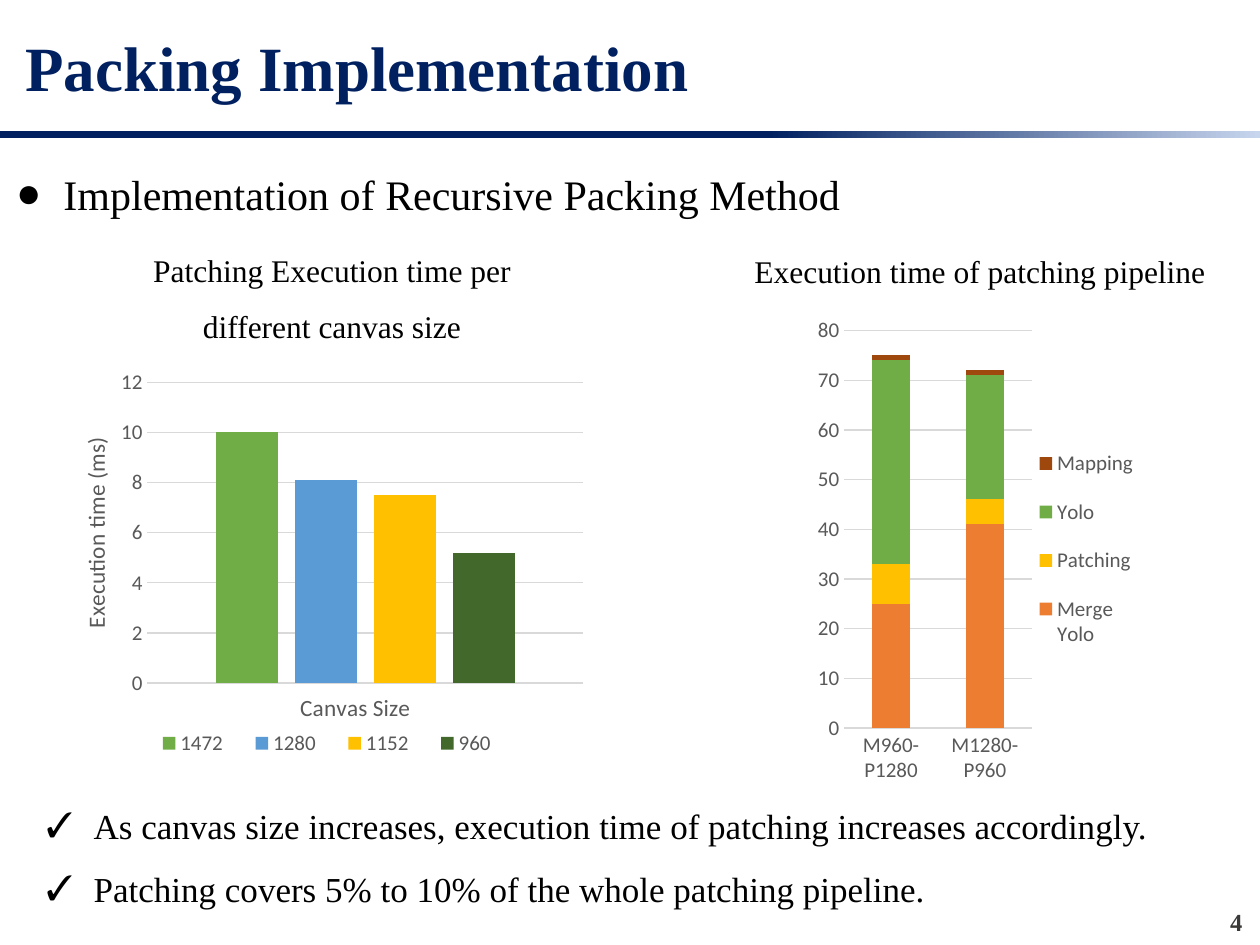
from dataclasses import dataclass

import pptx
import pptx.chart.data
import pptx.dml.color
import pptx.enum.chart
import pptx.enum.shapes
import pptx.enum.text
import pptx.oxml
import pptx.oxml.ns
import pptx.util
from lxml import etree

Pt = pptx.util.Pt
RGBColor = pptx.dml.color.RGBColor
Align = pptx.enum.text.PP_ALIGN
Anchor = pptx.enum.text.MSO_ANCHOR
ChartType = pptx.enum.chart.XL_CHART_TYPE
LegendPosition = pptx.enum.chart.XL_LEGEND_POSITION
TickMark = pptx.enum.chart.XL_TICK_MARK
qn = pptx.oxml.ns.qn

NAVY = RGBColor(0x00, 0x20, 0x60)
PALE_BLUE = RGBColor(0xC7, 0xD5, 0xED)
BLACK = RGBColor(0, 0, 0)
CHARCOAL = RGBColor(0x3B, 0x38, 0x38)
AXIS_GRAY = RGBColor(0x59, 0x59, 0x59)
GRID_GRAY = RGBColor(0xD9, 0xD9, 0xD9)
GREEN = RGBColor(0x70, 0xAD, 0x47)
DARK_GREEN = RGBColor(0x43, 0x68, 0x2B)
BLUE = RGBColor(0x5B, 0x9B, 0xD5)
YELLOW = RGBColor(0xFF, 0xC0, 0x00)
ORANGE = RGBColor(0xED, 0x7D, 0x31)
BROWN = RGBColor(0x9E, 0x48, 0x0E)

TEXT_FONT = "Times New Roman"
CHART_FONT = "Calibri"
BULLET_INDENT = Pt(27)


@dataclass
class Box:
    """Position and size in points."""
    left: float
    top: float
    width: float
    height: float

    def lengths(self) -> tuple:
        return Pt(self.left), Pt(self.top), Pt(self.width), Pt(self.height)


@dataclass
class Measure:
    name: str
    values: tuple
    color: RGBColor


def add_text(slide, box: Box, *lines: str, size: float, color=BLACK, bold=False,
             align=Align.LEFT, anchor=Anchor.TOP, spacing=1.0, bullet="", grow=False):
    frame = slide.shapes.add_textbox(*box.lengths()).text_frame
    frame.word_wrap = True
    frame.vertical_anchor = anchor
    if grow:
        frame.auto_size = pptx.enum.text.MSO_AUTO_SIZE.SHAPE_TO_FIT_TEXT
    for index, line in enumerate(lines):
        paragraph = frame.add_paragraph() if index else frame.paragraphs[0]
        paragraph.alignment = align
        paragraph.line_spacing = spacing
        if bullet:
            properties = paragraph._p.get_or_add_pPr()
            properties.set("marL", str(BULLET_INDENT))
            properties.set("indent", str(-BULLET_INDENT))
            etree.SubElement(properties, qn("a:buFont")).set("typeface", TEXT_FONT)
            etree.SubElement(properties, qn("a:buChar")).set("char", bullet)
        run = paragraph.add_run()
        run.text = line
        style_font(run.font, size, color, TEXT_FONT, bold)


def style_font(font, size: float, color: RGBColor, name: str, bold=False):
    font.size = Pt(size)
    font.name = name
    font.bold = bold
    font.color.rgb = color


def set_layout(element, inner=False, **fractions: float):
    """Place a chart part by fractions (x, y, w, h) of the chart's size."""
    for old in element.findall(qn("c:layout")):
        element.remove(old)
    layout = pptx.oxml.parse_xml(f'<c:layout {pptx.oxml.ns.nsdecls("c")}><c:manualLayout/></c:layout>')
    settings = {"layoutTarget": "inner"} if inner else {}
    settings.update({f"{axis}Mode": "edge" for axis in "xy"})
    settings.update(fractions)
    for tag, value in settings.items():
        etree.SubElement(layout[0], qn(f"c:{tag}")).set("val", str(value))
    before = element.find(qn("c:tx"))
    if before is None:
        before = element.find(qn("c:legendPos"))
    if before is None:
        element.insert(0, layout)
    else:
        before.addnext(layout)


def add_column_chart(slide, box: Box, kind, categories: tuple, measures: list[Measure],
                     gap: int, overlap: int, legend_position, plot: dict, legend: dict):
    data = pptx.chart.data.CategoryChartData()
    data.categories = categories
    for measure in measures:
        data.add_series(measure.name, measure.values)
    chart = slide.shapes.add_chart(kind, *box.lengths(), data).chart
    chart.has_title = False
    style_font(chart.font, 10, BLACK, CHART_FONT)

    columns = chart.plots[0]
    columns.gap_width = gap
    columns.overlap = overlap
    columns.vary_by_categories = False
    for series, measure in zip(columns.series, measures):
        series.format.fill.solid()
        series.format.fill.fore_color.rgb = measure.color
        series.invert_if_negative = False

    for axis in (chart.category_axis, chart.value_axis):
        axis.major_tick_mark = axis.minor_tick_mark = TickMark.NONE
        style_font(axis.tick_labels.font, 12, AXIS_GRAY, CHART_FONT)
    chart.value_axis.format.line.fill.background()
    chart.value_axis.has_major_gridlines = True
    for line in (chart.category_axis.format.line, chart.value_axis.major_gridlines.format.line):
        line.color.rgb = GRID_GRAY
        line.width = Pt(0.75)

    chart.has_legend = True
    chart.legend.position = legend_position
    chart.legend.include_in_layout = False
    style_font(chart.legend.font, 12, AXIS_GRAY, CHART_FONT)
    set_layout(chart._chartSpace.chart.plotArea, inner=True, **plot)
    set_layout(chart.legend._element, **legend)
    return chart


def add_axis_title(axis, text: str):
    run = axis.axis_title.text_frame.paragraphs[0].add_run()
    run.text = text
    style_font(run.font, 13.3, AXIS_GRAY, CHART_FONT)


def add_header(slide):
    rule = slide.shapes.add_shape(pptx.enum.shapes.MSO_SHAPE.RECTANGLE,
                                  *Box(0, 74.9, 720, 3.8).lengths())
    rule.shadow.inherit = False
    rule.line.fill.background()
    rule.fill.gradient()
    rule.fill.gradient_angle = 0
    stops = ((0.61, NAVY), (1, PALE_BLUE))
    for stop, (position, color) in zip(rule.fill.gradient_stops, stops):
        stop.position = position
        stop.color.rgb = color
    add_text(slide, Box(7.5, 9, 683.3, 57.6), "Packing Implementation",
             size=36, color=NAVY, bold=True, anchor=Anchor.MIDDLE)


def add_canvas_chart(slide):
    add_text(slide, Box(67, 128.9, 245.5, 69), "Patching Execution time per different canvas size",
             size=18, align=Align.CENTER, spacing=1.5, grow=True)
    measures = [Measure("1472", (10,), GREEN), Measure("1280", (8.1,), BLUE),
                Measure("1152", (7.5,), YELLOW), Measure("960", (5.2,), DARK_GREEN)]
    chart = add_column_chart(slide, Box(43.2, 191.5, 293, 245.5), ChartType.COLUMN_CLUSTERED,
                             ("1",), measures, 219, -27, LegendPosition.BOTTOM,
                             plot=dict(x=0.14, y=0.11, w=0.85, h=0.7),
                             legend=dict(x=0.12, y=0.91, w=0.74, h=0.08))
    add_axis_title(chart.value_axis, "Execution time (ms)")
    add_axis_title(chart.category_axis, "Canvas Size")
    set_layout(chart.category_axis.axis_title._element, x=0.43, y=0.82)
    chart.category_axis.visible = False


def add_pipeline_chart(slide):
    add_text(slide, Box(404.6, 129.6, 315.4, 36), "Execution time of patching pipeline ",
             size=18, align=Align.CENTER, spacing=1.5, grow=True)
    measures = [Measure("Merge Yolo", (25, 41), ORANGE), Measure("Patching ", (8, 5), YELLOW),
                Measure("Yolo", (41, 25), GREEN), Measure("Mapping", (1, 1), BROWN)]
    add_column_chart(slide, Box(462.5, 175, 198.7, 277.2), ChartType.COLUMN_STACKED,
                     ("M960-P1280", "M1280-P960"), measures, 150, 100, LegendPosition.RIGHT,
                     plot=dict(x=0.1, y=0.05, w=0.54, h=0.82),
                     legend=dict(x=0.65, y=0.25, w=0.3, h=0.5))


def main():
    deck = pptx.Presentation()
    deck.slide_width, deck.slide_height = Pt(720), Pt(540)
    slide = deck.slides.add_slide(deck.slide_layouts[6])
    add_header(slide)
    add_text(slide, Box(687, 514.8, 30, 21.6), "4", size=14, color=CHARCOAL, bold=True,
             align=Align.RIGHT)
    add_text(slide, Box(2.2, 78.5, 700.6, 45.4), "Implementation of Recursive Packing Method",
             size=24, spacing=1.5, bullet="●", grow=True)
    add_pipeline_chart(slide)
    add_canvas_chart(slide)
    add_text(slide, Box(19.4, 444.2, 683.3, 75.6),
             "As canvas size increases, execution time of patching increases accordingly.",
             "Patching covers 5% to 10% of the whole patching pipeline.",
             size=20, spacing=1.5, bullet="✓", grow=True)
    deck.save("out.pptx")


if __name__ == "__main__":
    main()
